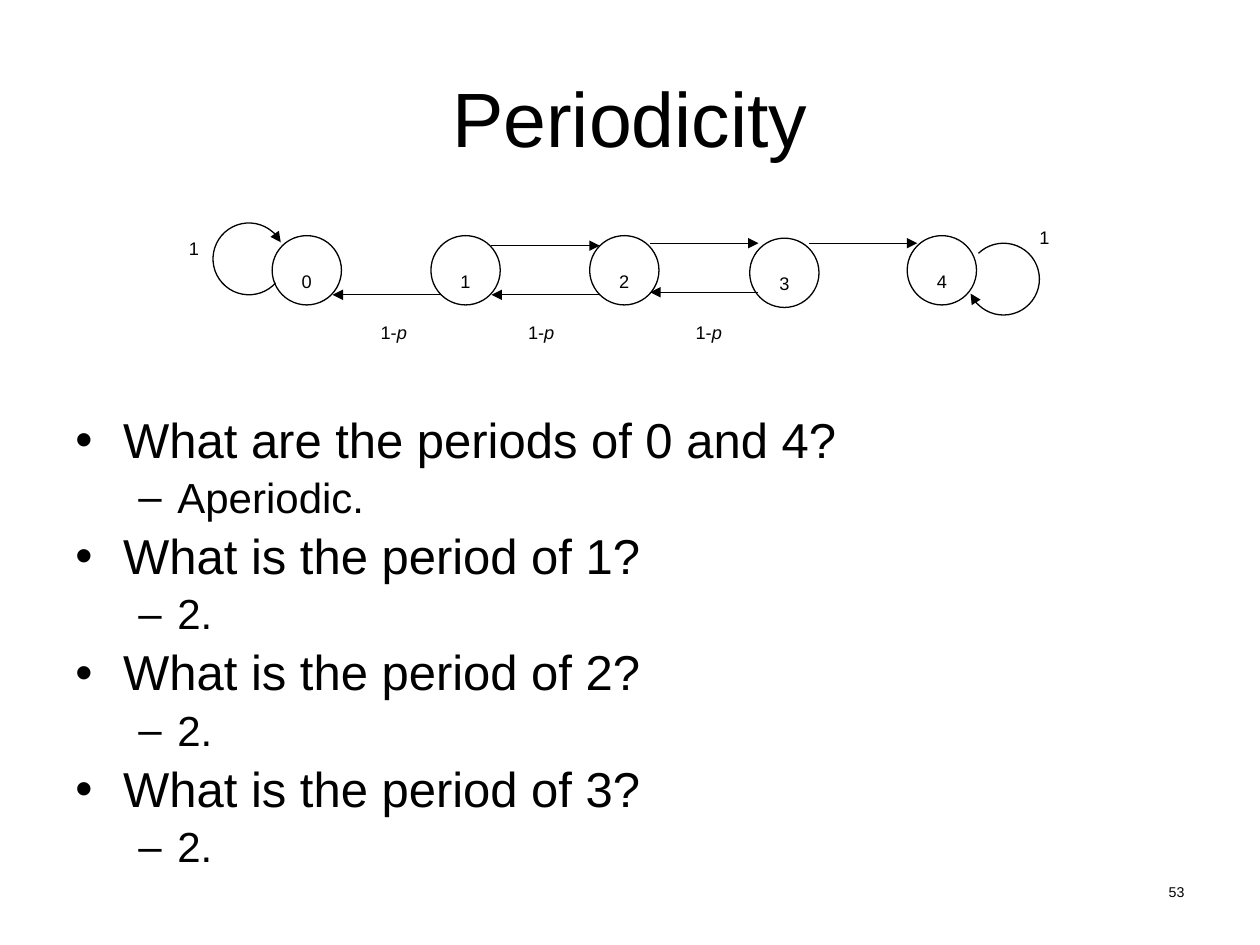
from lxml import etree
from pptx import Presentation
from pptx import util as u
from pptx.dml.color import RGBColor
from pptx.enum import shapes, text
from pptx.oxml.ns import qn

BLACK = RGBColor(0, 0, 0)
FONT = "Arial"
CENTER, RIGHT = text.PP_ALIGN.CENTER, text.PP_ALIGN.RIGHT
MIDDLE, TOP = text.MSO_ANCHOR.MIDDLE, text.MSO_ANCHOR.TOP
NODE_SIZE, LOOP_SIZE = 0.55, 0.57

# State, left, top
NODES = [("0", 2.16, 1.87), ("1", 3.42, 1.87), ("2", 4.68, 1.87),
         ("3", 5.95, 1.89), ("4", 7.2, 1.87)]
# Start x, end x, height
ARROWS = [(3.9, 4.76, 1.95), (4.76, 3.9, 2.34), (3.5, 2.64, 2.34),
          (5.16, 6.02, 1.93), (6.02, 5.16, 2.32), (6.42, 7.28, 1.93)]
# Left, top, rotation
LOOPS = [(1.69, 1.77, 130.5), (7.68, 1.93, 314.3)]
QUESTIONS = [("What are the periods of 0 and 4?", "Aperiodic."),
             ("What is the period of 1?", "2."),
             ("What is the period of 2?", "2."),
             ("What is the period of 3?", "2.")]
# Bullet, size, left margin, indent for each outline level
LEVELS = [("•", 28, 0.38, -0.38), ("–", 24, 0.81, -0.31)]


def inches(*lengths):
    return [u.Inches(length) for length in lengths]


def add_run(paragraph, words, size, italic=None, lowered=False):
    run = paragraph.add_run()
    run.text = words
    formats = {"name": FONT, "size": u.Pt(size), "italic": italic}
    for key, value in formats.items():
        setattr(run.font, key, value)
    run.font.color.rgb = BLACK
    if lowered:
        run._r.get_or_add_rPr().set("baseline", "-25000")


def add_percent(properties, tag, percent):
    spacing = etree.SubElement(properties, qn(tag))
    etree.SubElement(spacing, qn("a:spcPct")).set("val", str(percent * 1000))


def add_text(slide, box, align=None, anchor=TOP):
    frame = slide.shapes.add_textbox(*inches(*box)).text_frame
    frame.word_wrap = True
    frame.vertical_anchor = anchor
    frame.paragraphs[0].alignment = align
    return frame


def add_label(slide, left, top, width, words, variable=None):
    frame = add_text(slide, (left, top, width, 0.4), CENTER)
    frame.auto_size = text.MSO_AUTO_SIZE.SHAPE_TO_FIT_TEXT
    paragraph = frame.paragraphs[0]
    add_percent(paragraph._p.get_or_add_pPr(), "a:spcBef", 50)
    add_run(paragraph, words, 18, lowered=True)
    if variable:
        add_run(paragraph, variable, 18, italic=True, lowered=True)


def style_line(shape, arrow=False):
    shape.line.color.rgb = BLACK
    shape.line.width = u.Pt(0.75)
    if arrow:
        outline = shape.line._get_or_add_ln()
        etree.SubElement(outline, qn("a:tailEnd")).set("type", "triangle")


def add_outline(slide, preset, left, top, size):
    shape = slide.shapes.add_shape(preset, *inches(left, top, size, size))
    shape.shadow.inherit = False
    shape.fill.background()
    return shape


def add_node(slide, state, left, top):
    node = add_outline(slide, shapes.MSO_SHAPE.OVAL, left, top, NODE_SIZE)
    style_line(node)
    frame = node.text_frame
    frame.word_wrap = False
    frame.vertical_anchor = MIDDLE
    frame.paragraphs[0].alignment = CENTER
    add_run(frame.paragraphs[0], state, 18, lowered=True)


def add_arrow(slide, start, end, height):
    arrow = slide.shapes.add_connector(
        shapes.MSO_CONNECTOR.STRAIGHT, *inches(start, height, end, height))
    style_line(arrow, arrow=True)
    etree.SubElement(arrow._element.spPr, qn("a:effectLst"))


def add_loop(slide, left, top, rotation):
    loop = add_outline(slide, shapes.MSO_SHAPE.ARC, left, top, LOOP_SIZE)
    # Angles are stored in 60000ths of a degree, adjustments in 100000ths
    for index, degrees in enumerate((271.5, 202)):
        loop.adjustments[index] = degrees * 0.6
    loop.rotation = rotation
    style_line(loop, arrow=True)


def add_outline_item(frame, words, level):
    bullet, size, margin, indent = LEVELS[level]
    first = not frame.paragraphs[0].runs
    paragraph = frame.paragraphs[0] if first else frame.add_paragraph()
    paragraph.level = level
    properties = paragraph._p.get_or_add_pPr()
    properties.set("marL", str(u.Inches(margin)))
    properties.set("indent", str(u.Inches(indent)))
    add_percent(properties, "a:lnSpc", 90)
    add_percent(properties, "a:spcBef", 20)
    etree.SubElement(properties, qn("a:buFont")).set("typeface", FONT)
    etree.SubElement(properties, qn("a:buChar")).set("char", bullet)
    add_run(paragraph, words, size)


def main():
    deck = Presentation()
    deck.slide_width, deck.slide_height = inches(10, 7.5)
    slide = deck.slides.add_slide(deck.slide_layouts[6])

    # Page number and title
    number = add_text(slide, (7.17, 6.83, 2.33, 0.52), RIGHT)
    add_run(number.paragraphs[0], "53", 14, lowered=True)
    title = add_text(slide, (0.5, 0.3, 9, 1.25), CENTER, MIDDLE)
    add_run(title.paragraphs[0], "Periodicity", 44)

    # Questions and answers
    body = add_text(slide, (0.5, 3.25, 9, 3.83))
    for pair in QUESTIONS:
        for level, words in enumerate(pair):
            add_outline_item(body, words, level)

    # Markov chain
    for node in NODES:
        add_node(slide, *node)
    for arrow in ARROWS:
        add_arrow(slide, *arrow)
    for loop in LOOPS:
        add_loop(slide, *loop)

    # Transition probabilities
    for left, top in ((1.33, 1.67), (8.08, 1.58)):
        add_label(slide, left, top, 0.42, "1")
    for left in (2.75, 3.92, 5.25):
        add_label(slide, left, 2.33, 0.75, "1-", "p")

    deck.save("out.pptx")


if __name__ == "__main__":
    main()
